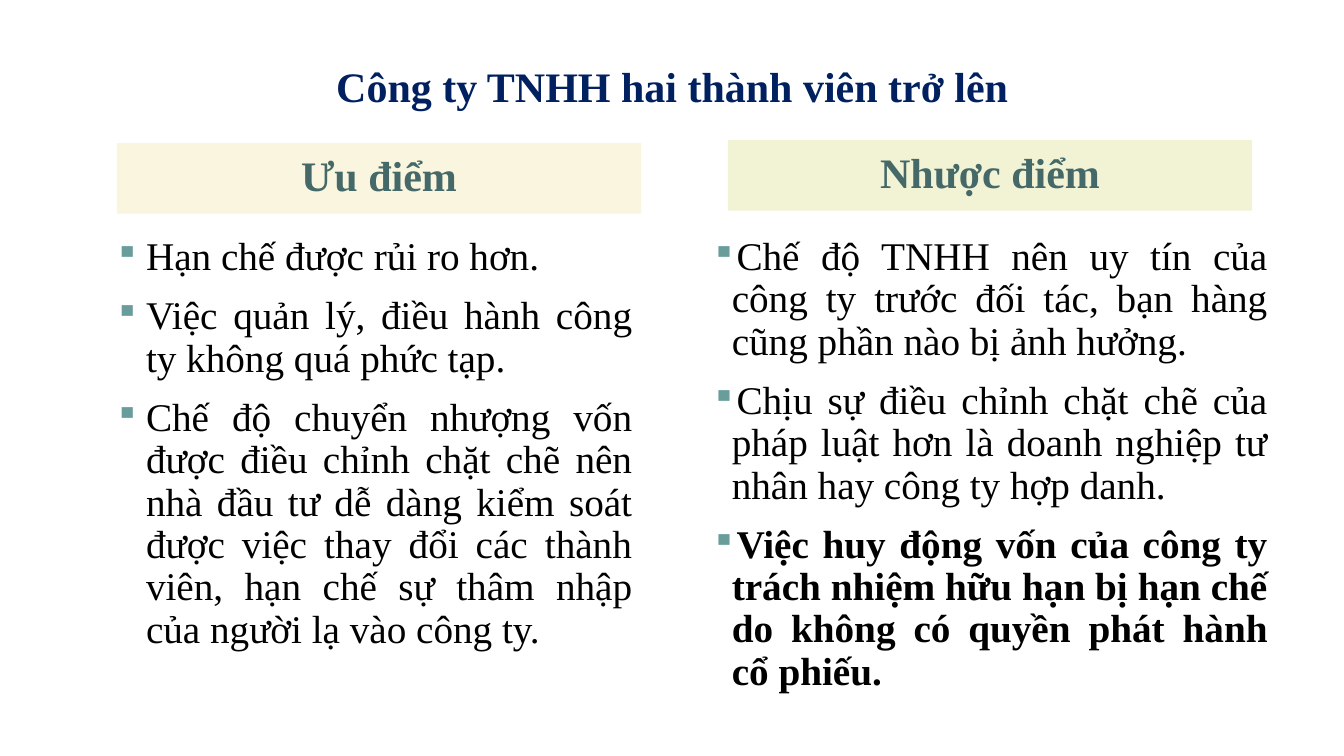
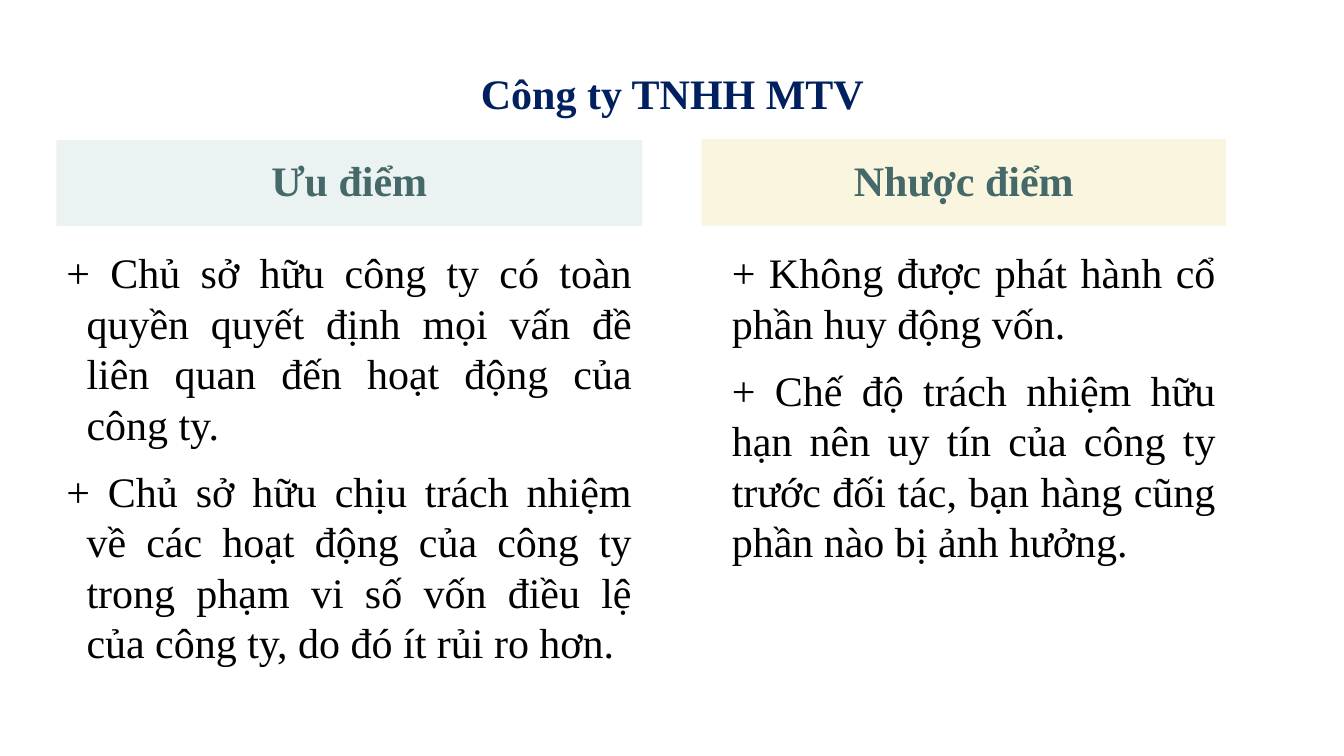
from lxml import etree
from pptx import Presentation
from pptx.dml.color import RGBColor
from pptx.enum.shapes import MSO_SHAPE
from pptx.enum.text import MSO_ANCHOR, PP_ALIGN
from pptx.oxml.ns import qn
from pptx.util import Inches, Pt

RECT = MSO_SHAPE.RECTANGLE
MIDDLE, TOP = MSO_ANCHOR.MIDDLE, MSO_ANCHOR.TOP
CENTER, JUSTIFY = PP_ALIGN.CENTER, PP_ALIGN.JUSTIFY

NAVY = RGBColor(0x00, 0x20, 0x60)
TEAL = RGBColor(0x45, 0x69, 0x68)
MARK = RGBColor(0x68, 0x9D, 0x9B)
BLACK = RGBColor(0x00, 0x00, 0x00)
CREAM = RGBColor(0xF9, 0xF5, 0xDE)
LIME = RGBColor(0xF2, 0xF2, 0xD4)
MIST = RGBColor(0xEB, 0xF2, 0xF2)

FONT = "Times New Roman"
PROS, CONS = "Ưu điểm", "Nhược điểm"

SLIDES = [
    {
        "title": "Công ty TNHH hai thành viên trở lên",
        "height": 0.7,
        "style": {"size": 28, "line": 0.9, "mark": "▪"},
        "columns": [
            {
                "head": PROS, "fill": CREAM, "band": (1.16, 1.42, 5.2, 0.7),
                "body": (0.66, 2.3, 5.71, 4.67),
                "indent": (0.69, -0.31), "gaps": (6, 6),
                "items": [
                    "Hạn chế được rủi ro hơn.",
                    "Việc quản lý, điều hành công ty không quá phức tạp.",
                    "Chế độ chuyển nhượng vốn được điều chỉnh chặt chẽ nên nhà đầu tư "
                    "dễ dàng kiểm soát được việc thay đổi các thành viên, hạn chế sự "
                    "thâm nhập của người lạ vào công ty.",
                ],
            },
            {
                "head": CONS, "fill": LIME, "band": (7.22, 1.39, 5.2, 0.7),
                "body": (6.96, 2.3, 5.71, 4.67),
                "indent": (0.2, -0.2), "gaps": (12, 0),
                "items": [
                    "Chế độ TNHH nên uy tín của công ty trước đối tác, bạn hàng cũng "
                    "phần nào bị ảnh hưởng.",
                    "Chịu sự điều chỉnh chặt chẽ của pháp luật hơn là doanh nghiệp tư "
                    "nhân hay công ty hợp danh.",
                ],
                "strong": [
                    "Việc huy động vốn của công ty trách nhiệm hữu hạn bị hạn chế do "
                    "không có quyền phát hành cổ phiếu.",
                ],
            },
        ],
    },
    {
        "title": "Công ty TNHH MTV",
        "height": 0.85,
        "style": {"size": 30},
        "columns": [
            {
                "head": PROS, "fill": MIST, "band": (0.56, 1.39, 5.81, 0.85),
                "body": (0.56, 2.4, 5.81, 4.2),
                "indent": (0.2, -0.2), "gaps": (12, 0),
                "items": [
                    "+ Chủ sở hữu công ty có toàn quyền quyết định mọi vấn đề liên "
                    "quan đến hoạt động của công ty.",
                    "+ Chủ sở hữu chịu trách nhiệm về các hoạt động của công ty trong "
                    "phạm vi số vốn điều lệ của công ty, do đó ít rủi ro hơn.",
                ],
            },
            {
                "head": CONS, "fill": CREAM, "band": (6.96, 1.38, 5.2, 0.86),
                "body": (6.96, 2.4, 5.2, 4.2),
                "indent": (0.2, 0), "gaps": (12, 0),
                "items": [
                    "+ Không được phát hành cổ phần huy động vốn.",
                    "+ Chế độ trách nhiệm hữu hạn nên uy tín của công ty trước đối "
                    "tác, bạn hàng cũng phần nào bị ảnh hưởng.",
                ],
            },
        ],
    },
]


def write(para, text, size, color, bold, align, line=None):
    para.text = text
    para.alignment = align
    para.line_spacing = line
    font = para.font
    font.name, font.size, font.bold = FONT, Pt(size), bold
    font.color.rgb = color


def indent(para, left, first):
    props = para._p.get_or_add_pPr()
    props.set("marL", str(Inches(left)))
    props.set("indent", str(Inches(first)))


def bullet(para, mark):
    props = para._p.get_or_add_pPr()
    color = etree.SubElement(props, qn("a:buClr"))
    etree.SubElement(color, qn("a:srgbClr"), val=str(MARK))
    etree.SubElement(props, qn("a:buSzPct"), val="85000")
    etree.SubElement(props, qn("a:buChar"), char=mark)


def add_text(slide, box, anchor):
    frame = slide.shapes.add_textbox(*map(Inches, box)).text_frame
    frame.word_wrap = True
    frame.vertical_anchor = anchor
    return frame


def add_title(slide, text, height):
    frame = add_text(slide, (1.17, 0.53, 11, height), MIDDLE)
    write(frame.paragraphs[0], text, 30, NAVY, True, CENTER, 0.9)


def add_band(slide, text, box, fill):
    band = slide.shapes.add_shape(RECT, *map(Inches, box))
    band.shadow.inherit = False
    band.fill.solid()
    band.fill.fore_color.rgb = fill
    band.line.fill.background()
    frame = band.text_frame
    frame.word_wrap = True
    frame.vertical_anchor = MIDDLE
    para = frame.paragraphs[0]
    write(para, text, 30, TEAL, True, CENTER, 0.9)
    para.space_before = Pt(12)


def add_body(slide, column, style):
    frame = add_text(slide, column["body"], TOP)
    items = [(text, False) for text in column["items"]]
    items += [(text, True) for text in column.get("strong", [])]
    before, after = column["gaps"]
    for index, (text, bold) in enumerate(items):
        para = frame.add_paragraph() if index else frame.paragraphs[0]
        write(para, text, style["size"], BLACK, bold, JUSTIFY, style.get("line"))
        para.space_before, para.space_after = Pt(before), Pt(after)
        indent(para, *column["indent"])
        if "mark" in style:
            bullet(para, style["mark"])


def main():
    deck = Presentation()
    deck.slide_width, deck.slide_height = Inches(13.33), Inches(7.5)
    for page in SLIDES:
        slide = deck.slides.add_slide(deck.slide_layouts[6])
        add_title(slide, page["title"], page["height"])
        for column in page["columns"]:
            add_band(slide, column["head"], column["band"], column["fill"])
            add_body(slide, column, page["style"])
    deck.save("out.pptx")


if __name__ == "__main__":
    main()
